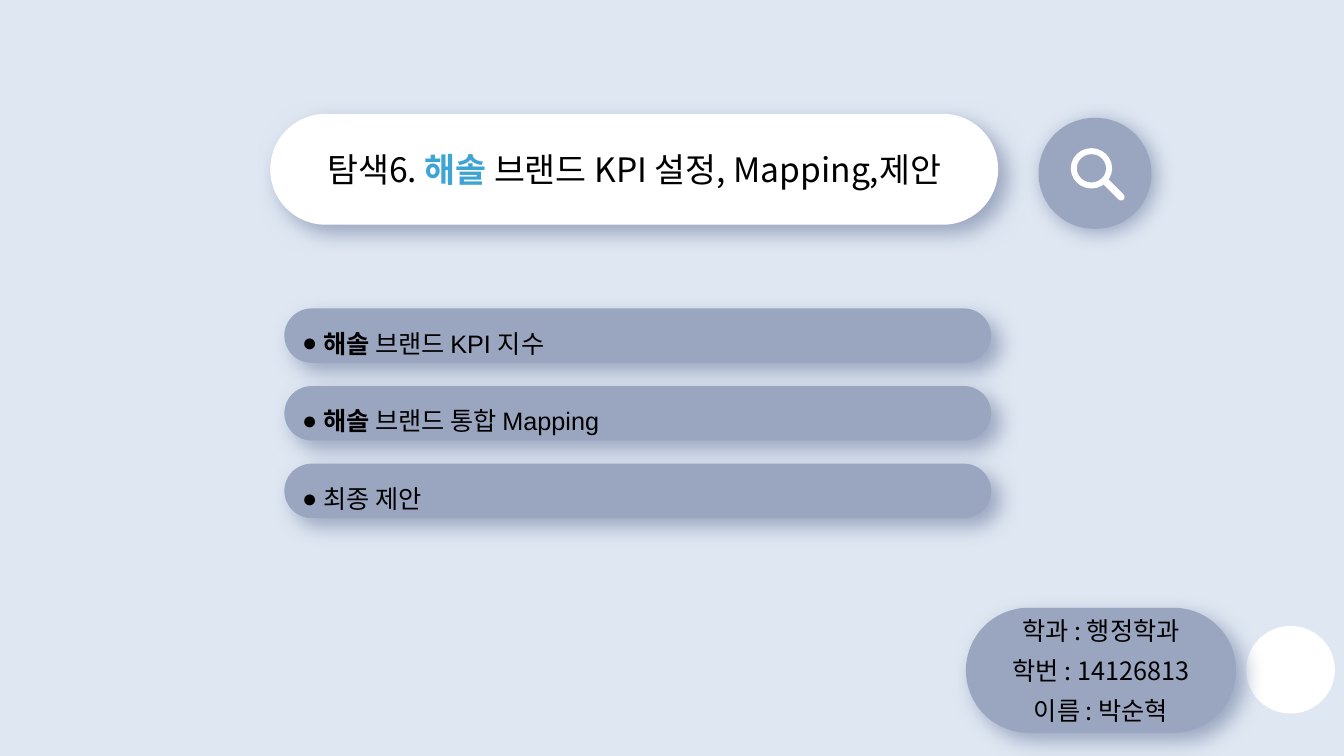
"""Builds the search-bar style agenda slide with three topics and a student card."""
from lxml import etree
from pptx import Presentation, util as u
from pptx.dml.color import RGBColor
from pptx.enum import shapes, text
from pptx.oxml import parse_xml
from pptx.oxml.ns import nsdecls, qn

KR, MIST, WHITE, BLACK, SKY = "Noto Sans CJK KR", "9AA6C0", "FFFFFF", "000000", "3EA4D4"
PILL, DONUT, OVAL = (shapes.MSO_SHAPE.ROUNDED_RECTANGLE, shapes.MSO_SHAPE.DONUT,
                     shapes.MSO_SHAPE.OVAL)


def add_shape(kind, box, color, adj=None, dist=None, angle=0):
    sp = s.shapes.add_shape(kind, *map(u.Inches, box))
    if adj:
        sp.adjustments[0] = adj
    sp.rotation = angle
    sp.fill.solid()
    sp.fill.fore_color.rgb = RGBColor.from_string(color)
    sp.line.fill.background()
    sp.shadow.inherit = False
    if dist:
        effects = sp._element.spPr.find(qn("a:effectLst"))
        shadow = etree.SubElement(effects, qn("a:outerShdw"), blurRad=str(u.Pt(15)),
                                  dist=str(u.Pt(dist)), dir="2700000", algn="tl", rotWithShape="0")
        etree.SubElement(shadow, qn("a:srgbClr"), val=MIST)
    sp.text_frame.word_wrap = True
    sp.text_frame.vertical_anchor = text.MSO_ANCHOR.MIDDLE
    return sp


def add_run(p, words, size=18, font=KR, color=BLACK, bold=False):
    r = p.add_run()
    r.text = words
    r.font.size, r.font.name, r.font.bold = u.Pt(size), font, bold
    r.font.color.rgb = RGBColor.from_string(color)
    etree.SubElement(r._r.get_or_add_rPr(), qn("a:ea"), typeface=KR)


prs = Presentation()
prs.slide_width, prs.slide_height = u.Inches(13.33), u.Inches(7.5)
s = prs.slides.add_slide(prs.slide_layouts[5])
s.background.fill.solid()
s.background.fill.fore_color.rgb = RGBColor.from_string("DFE7F2")

search_bar = (2.68, 1.13, 7.22, 1.1)
add_shape(PILL, search_bar, WHITE, 0.5, 8)
title = s.shapes.title
title.left, title.top, title.width, title.height = map(u.Inches, search_bar)
s.shapes._spTree.append(title._element)
tf = title.text_frame
tf.word_wrap = True
tf.auto_size = text.MSO_AUTO_SIZE.NONE
tf.vertical_anchor = text.MSO_ANCHOR.MIDDLE
p = tf.paragraphs[0]
p.alignment = text.PP_ALIGN.CENTER
add_run(p, "탐색6. ", 24)
add_run(p, "해솔 ", 24, color=SKY, bold=True)
add_run(p, "브랜드 KPI 설정, Mapping,제안", 24)

add_shape(PILL, (10.3, 1.17, 1.12, 1.1), MIST, 0.5, 4)
add_shape(DONUT, (10.62, 1.47, 0.41, 0.4), WHITE, 0.148)
add_shape(PILL, (11.01, 1.74, 0.07, 0.28), WHITE, 0.5, angle=315)

topics = [
    [(" ", False), ("해솔", True), (" 브랜드 KPI 지수", False)],
    [(" 해솔", True), (" 브랜드 통합 Mapping", False)],
    [(" 최종 제안", False)],
]
for i, topic in enumerate(topics):
    sp = add_shape(PILL, (2.82, 3.06 + 0.77 * i, 7.01, 0.54), MIST, 0.5, 8)
    p = sp.text_frame.paragraphs[0]
    p.alignment = text.PP_ALIGN.LEFT
    p.line_spacing = 1.5
    pPr = p._p.get_or_add_pPr()
    pPr.append(parse_xml(f'<a:buFont {nsdecls("a")} typeface="Arial"/>'))
    pPr.append(parse_xml(f'<a:buChar {nsdecls("a")} char="●"/>'))
    for words, bold in topic:
        add_run(p, words, font="Arial", bold=bold)

add_shape(OVAL, (12.36, 6.21, 0.88, 0.87), WHITE)

card = add_shape(PILL, (9.58, 6.03, 2.68, 1.24), MIST, 0.5, 8)
tf = card.text_frame
for i, line in enumerate(["학과 : 행정학과", "학번 : 14126813", "이름 : 박순혁"]):
    p = tf.add_paragraph() if i else tf.paragraphs[0]
    p.alignment = text.PP_ALIGN.CENTER
    p.space_before = u.Pt(7 if i else 0)
    add_run(p, line)

prs.save("out.pptx")
